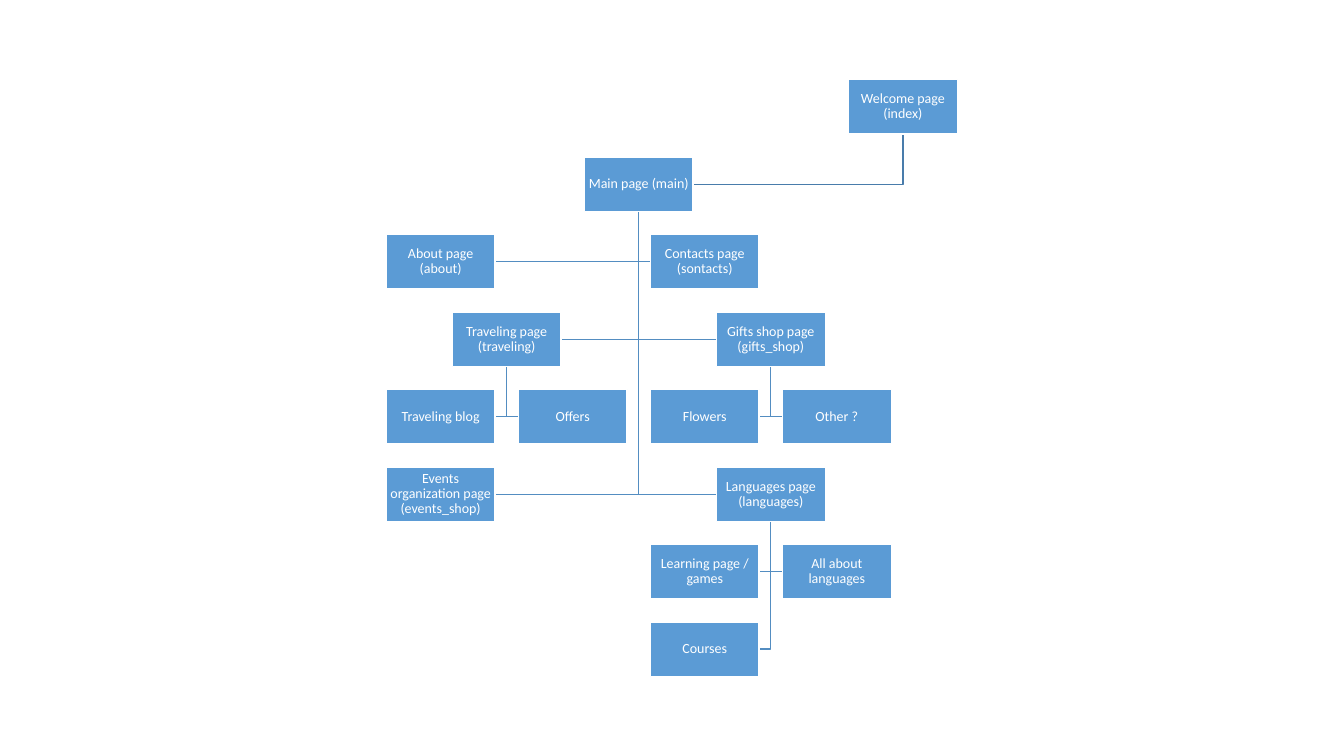
from pptx import Presentation
from pptx.dml.color import RGBColor
from pptx.enum.shapes import MSO_SHAPE
from pptx.enum.text import MSO_ANCHOR, PP_ALIGN
from pptx.util import Inches, Pt

COLORS = {"box": "5B9BD5", "white": "FFFFFF", "root_line": "497CAB", "line": "538DC1"}

# Grid: neighbouring boxes are two half columns apart
LEFT, TOP = Inches(3.83), Inches(0.79)
HALF_COL, ROW = Inches(1.31) / 2, Inches(5.38) / 7
BOX_W, BOX_H = Inches(1.08), Inches(0.54)

# Page: (half column, row, parent page)
PAGES = {
    "Welcome page (index)": (7, 0, None),
    "Main page (main)": (3, 1, "Welcome page (index)"),
    "About page (about)": (0, 2, "Main page (main)"),
    "Contacts page (sontacts)": (4, 2, "Main page (main)"),
    "Traveling page (traveling)": (1, 3, "Main page (main)"),
    "Traveling blog": (0, 4, "Traveling page (traveling)"),
    "Offers": (2, 4, "Traveling page (traveling)"),
    "Gifts shop page (gifts_shop)": (5, 3, "Main page (main)"),
    "Flowers": (4, 4, "Gifts shop page (gifts_shop)"),
    "Other ?": (6, 4, "Gifts shop page (gifts_shop)"),
    "Events organization page (events_shop)": (0, 5, "Main page (main)"),
    "Languages page (languages)": (5, 5, "Main page (main)"),
    "Learning page / games": (4, 6, "Languages page (languages)"),
    "All about languages": (6, 6, "Languages page (languages)"),
    "Courses": (4, 7, "Languages page (languages)"),
}


def rgb(name):
    """Return the named colour."""
    return RGBColor.from_string(COLORS[name])


def corner(page):
    """Return the left and top of a page's box."""
    col, row, _ = PAGES[page]
    return round(LEFT + col * HALF_COL), round(TOP + row * ROW)


prs = Presentation()
prs.slide_width, prs.slide_height = Inches(13.33), Inches(7.5)
s = prs.slides.add_slide(prs.slide_layouts[6])

# Branches: down from the parent, then sideways to the child
for page, (col, row, parent) in reversed(PAGES.items()):
    if parent is None:
        continue
    x, y = corner(page)
    parent_x, parent_y = corner(parent)
    trunk_x, branch_y = parent_x + BOX_W // 2, y + BOX_H // 2
    end_x = x + BOX_W if x < parent_x else x
    fb = s.shapes.build_freeform(trunk_x, parent_y + BOX_H)
    fb.add_line_segments([(trunk_x, branch_y), (end_x, branch_y)], close=False)
    sp = fb.convert_to_shape()
    sp.shadow.inherit = False
    sp.fill.background()
    sp.line.color.rgb = rgb("root_line" if PAGES[parent][2] is None else "line")
    sp.line.width = Pt(1)

# Page boxes
for page in PAGES:
    sp = s.shapes.add_shape(MSO_SHAPE.RECTANGLE, *corner(page), BOX_W, BOX_H)
    sp.shadow.inherit = False
    sp.fill.solid()
    sp.fill.fore_color.rgb = rgb("box")
    sp.line.color.rgb = rgb("white")
    sp.line.width = Pt(1)
    tf = sp.text_frame
    tf.text = page
    tf.word_wrap = True
    tf.vertical_anchor = MSO_ANCHOR.MIDDLE
    tf.margin_left = tf.margin_right = tf.margin_top = tf.margin_bottom = Inches(0.01)
    p = tf.paragraphs[0]
    p.alignment = PP_ALIGN.CENTER
    p.line_spacing = 0.9
    r = p.runs[0]
    r.font.name, r.font.size = "Calibri", Pt(10)
    r.font.color.rgb = rgb("white")

prs.save("out.pptx")
